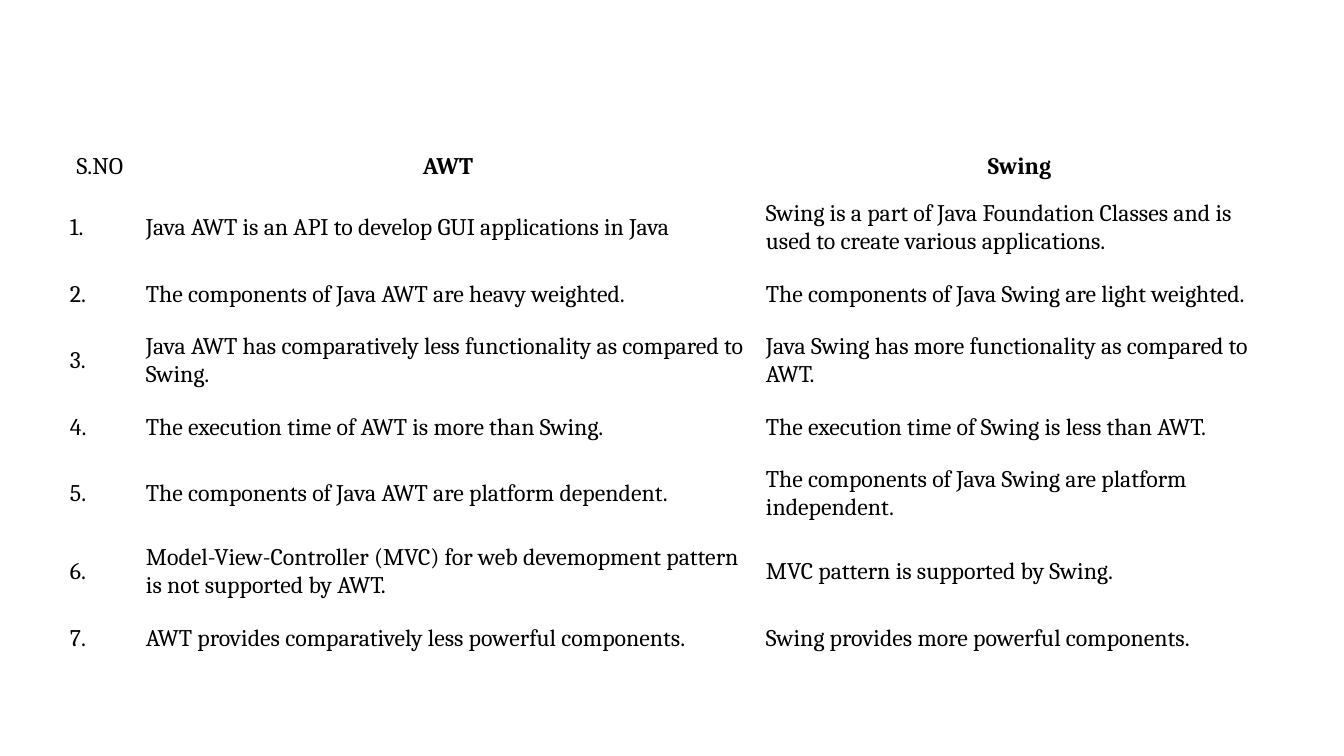
from pptx import Presentation
from pptx import util as u
from pptx.dml.color import RGBColor
from pptx.enum import text

HEADER = ("S.NO", "AWT", "Swing")
COMPARISON = [
    ("Java AWT is an API to develop GUI applications in Java",
     "Swing is a part of Java Foundation Classes and is used to create various applications."),
    ("The components of Java AWT are heavy weighted.",
     "The components of Java Swing are light weighted."),
    ("Java AWT has comparatively less functionality as compared to Swing.",
     "Java Swing has more functionality as compared to AWT."),
    ("The execution time of AWT is more than Swing.",
     "The execution time of Swing is less than AWT."),
    ("The components of Java AWT are platform dependent.",
     "The components of Java Swing are platform independent."),
    ("Model-View-Controller (MVC) for web devemopment pattern is not supported by AWT.",
     "MVC pattern is supported by Swing."),
    ("AWT provides comparatively less powerful components.",
     "Swing provides more powerful components."),
]

BLACK = RGBColor(0x00, 0x00, 0x00)
FONT_NAME = "Cambria"
FONT_SIZE = u.Pt(17)
SLIDE_WIDTH, SLIDE_HEIGHT = 1344, 756
TABLE_LEFT, TABLE_TOP = 62, 145
COLUMN_WIDTHS = (76, 620, 523)
ROW_HEIGHTS = (44, 78, 55, 78, 55, 78, 78, 55)
SIDE_MARGIN, HEADER_MARGIN, BODY_MARGIN = 8, 8, 11


def px(length):
    return u.Emu(round(length * 914400 / 100.8))


def fill_cell(cell, wording, is_header, is_bold):
    cell.fill.background()
    cell.vertical_anchor = text.MSO_ANCHOR.MIDDLE
    cell.margin_left = cell.margin_right = px(SIDE_MARGIN)
    cell.margin_top = cell.margin_bottom = px(HEADER_MARGIN if is_header else BODY_MARGIN)
    cell.text = wording
    paragraph = cell.text_frame.paragraphs[0]
    paragraph.alignment = text.PP_ALIGN.CENTER if is_header else text.PP_ALIGN.LEFT
    paragraph.font.name = FONT_NAME
    paragraph.font.size = FONT_SIZE
    paragraph.font.bold = is_bold
    paragraph.font.color.rgb = BLACK


def add_comparison_table(slide):
    rows = [HEADER] + [(f"{number}.", *pair) for number, pair in enumerate(COMPARISON, 1)]
    table = slide.shapes.add_table(
        len(rows), len(HEADER), px(TABLE_LEFT), px(TABLE_TOP),
        px(sum(COLUMN_WIDTHS)), px(sum(ROW_HEIGHTS))).table
    table.first_row = table.horz_banding = False
    for column, width in zip(table.columns, COLUMN_WIDTHS):
        column.width = px(width)
    for row, height in zip(table.rows, ROW_HEIGHTS):
        row.height = px(height)
    for r, row in enumerate(rows):
        for c, wording in enumerate(row):
            fill_cell(table.cell(r, c), wording, r == 0, r == 0 and c > 0)


def main():
    presentation = Presentation()
    presentation.slide_width = px(SLIDE_WIDTH)
    presentation.slide_height = px(SLIDE_HEIGHT)
    blank_layout = presentation.slide_layouts[6]
    add_comparison_table(presentation.slides.add_slide(blank_layout))
    presentation.save("out.pptx")


if __name__ == "__main__":
    main()
